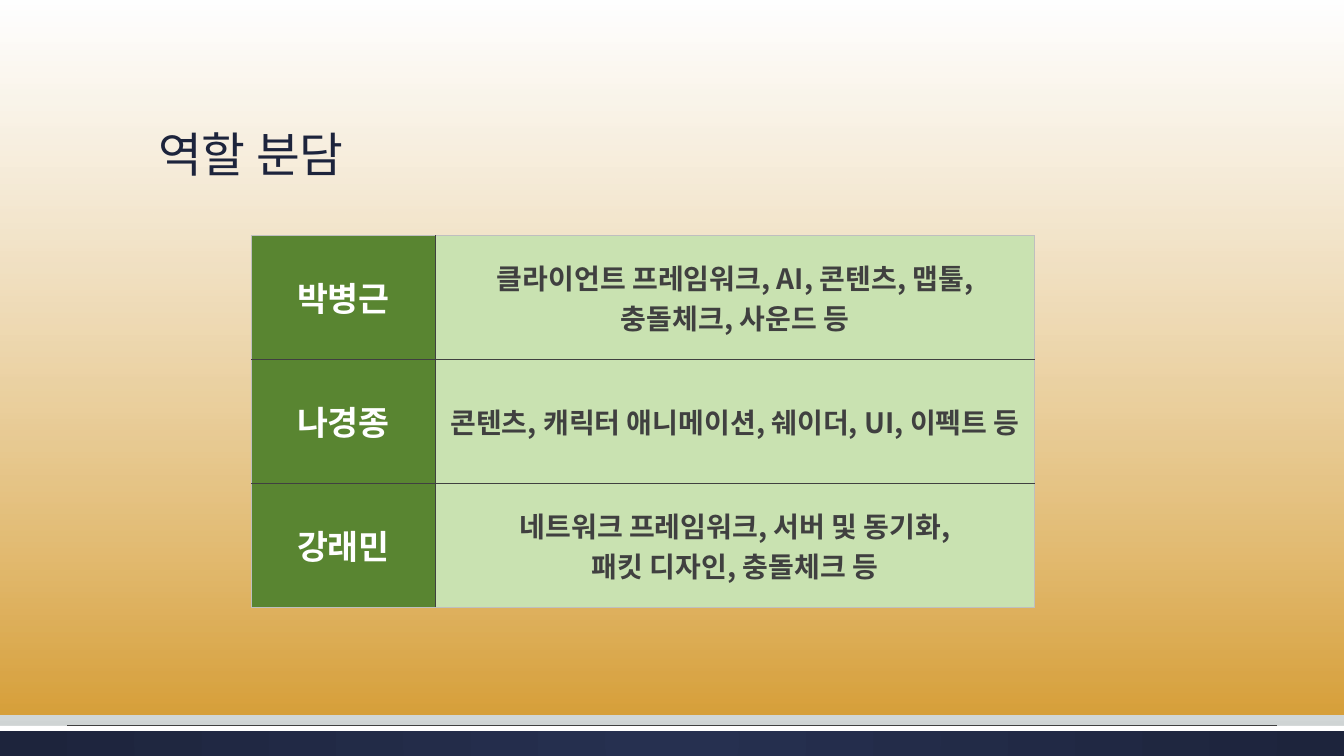
from lxml import etree
from pptx import Presentation
from pptx import util as u
from pptx.dml.color import RGBColor
from pptx.enum import shapes, text
from pptx.oxml.ns import qn

FONT = "Noto Sans CJK KR"
NAVY = RGBColor(0x1D, 0x24, 0x3C)
BLUE = RGBColor(0x26, 0x30, 0x50)
WHITE = RGBColor(0xFF, 0xFF, 0xFF)
MIST = RGBColor(0xE5, 0xE8, 0xE8)
GREY = RGBColor(0xCD, 0xD2, 0xD2)
ORANGE = RGBColor(0xDA, 0x8C, 0x00)
GREEN = RGBColor(0x59, 0x85, 0x31)
PALE_GREEN = RGBColor(0xC9, 0xE2, 0xB1)
CHARCOAL = RGBColor(0x40, 0x40, 0x40)
EDGE = RGBColor(0xBF, 0xBF, 0xBF)

SLIDE_W, SLIDE_H = u.Cm(33.87), u.Cm(19.05)
ROLES = [
    ("박병근", ["클라이언트 프레임워크, AI, 콘텐츠, 맵툴,", "충돌체크, 사운드 등"]),
    ("나경종", ["콘텐츠, 캐릭터 애니메이션, 쉐이더, UI, 이펙트 등"]),
    ("강래민", ["네트워크 프레임워크, 서버 및 동기화,", "패킷 디자인, 충돌체크 등"]),
]


def set_gradient(fill, owner, stops, radial=False):
    """Give a fill the stops (position, colour, opacity), all in percent."""
    fill.gradient()
    gradient = next(owner.iter(qn("a:gradFill")))
    for child in list(gradient):
        gradient.remove(child)
    stop_list = etree.SubElement(gradient, qn("a:gsLst"))
    for position, colour, opacity in stops:
        stop = etree.SubElement(stop_list, qn("a:gs"), pos=str(position * 1000))
        tint = etree.SubElement(stop, qn("a:srgbClr"), val=str(colour))
        if opacity < 100:
            etree.SubElement(tint, qn("a:alpha"), val=str(opacity * 1000))
    if radial:
        centre = etree.SubElement(gradient, qn("a:path"), path="circle")
        etree.SubElement(centre, qn("a:fillToRect"), l="50000", t="50000", r="50000", b="50000")
    else:
        etree.SubElement(gradient, qn("a:lin"), ang="5400000", scaled="0")


def add_band(slide, left, top, width, height):
    """Add a rectangle without line or shadow."""
    band = slide.shapes.add_shape(shapes.MSO_SHAPE.RECTANGLE, left, top, width, height)
    band.shadow.inherit = False
    band.line.fill.background()
    return band


def add_backdrop(slide, width, height):
    """Fill the background, the orange wash and the footer bands."""
    background = slide.background.fill
    set_gradient(background, slide.element, [(0, WHITE, 100), (72, MIST, 100), (100, GREY, 100)])

    footer_top = height - u.Cm(0.76)
    footer = add_band(slide, 0, footer_top, width, u.Cm(0.76))
    set_gradient(footer.fill, footer.element, [(0, BLUE, 100), (100, NAVY, 100)], radial=True)
    stripe = add_band(slide, 0, footer_top, width, u.Cm(0.13))
    stripe.fill.solid()
    stripe.fill.fore_color.rgb = WHITE
    wash = add_band(slide, 0, 0, width + u.Cm(0.09), u.Cm(18.01))
    set_gradient(wash.fill, wash.element, [(0, WHITE, 51), (100, ORANGE, 73)])

    inset, rule_y = u.Cm(1.7), footer_top - u.Cm(0.02)
    rule = slide.shapes.add_connector(
        shapes.MSO_CONNECTOR.STRAIGHT, inset, rule_y, width - inset, rule_y)
    rule.line.color.rgb = CHARCOAL
    rule.line.width = u.Pt(0.75)
    etree.SubElement(rule.element.spPr, qn("a:effectLst"))


def add_run(paragraph, words, size, colour, bold=False):
    """Add a run in the slide font, for Latin and Korean letters."""
    run = paragraph.add_run()
    run.text = words
    run.font.size = u.Pt(size)
    run.font.bold = bold
    run.font.color.rgb = colour
    run.font.name = FONT
    etree.SubElement(run.font._element, qn("a:ea"), typeface=FONT)


def place_title(slide, words, left, top, width, height):
    """Move the title into its box, in front of the backdrop."""
    title = slide.shapes.title
    slide.shapes.element.append(title.element)
    title.left, title.top, title.width, title.height = left, top, width, height
    frame = title.text_frame
    frame.word_wrap = True
    frame.auto_size = text.MSO_AUTO_SIZE.NONE
    frame.vertical_anchor = text.MSO_ANCHOR.BOTTOM
    heading = frame.paragraphs[0]
    heading.alignment = text.PP_ALIGN.LEFT
    heading.line_spacing = 0.9
    add_run(heading, words, 34, NAVY)


def set_border(cell, side, inner):
    """Draw one side of a cell, dark inside the table and pale around it."""
    properties = cell._tc.get_or_add_tcPr()
    border = etree.Element(qn("a:" + side), w=str(u.Pt(1 if inner else 0.5)))
    solid = etree.SubElement(border, qn("a:solidFill"))
    etree.SubElement(solid, qn("a:srgbClr"), val=str(CHARCOAL if inner else EDGE))
    properties.append(border)


def fill_cell(cell, lines, size, colour, back):
    """Write centred bold lines into a cell and fill it."""
    cell.vertical_anchor = text.MSO_ANCHOR.MIDDLE
    cell.fill.solid()
    cell.fill.fore_color.rgb = back
    frame = cell.text_frame
    for index, line in enumerate(lines):
        paragraph = frame.add_paragraph() if index else frame.paragraphs[0]
        paragraph.alignment = text.PP_ALIGN.CENTER
        add_run(paragraph, line, size, colour, bold=True)


def add_roles(slide, roles, left, top, width, height):
    """Add the table of members and their tasks."""
    table = slide.shapes.add_table(len(roles), 2, left, top, width, height).table
    table.first_row = table.horz_banding = False
    name_width = u.Cm(4.65)
    table.columns[0].width = name_width
    table.columns[1].width = width - name_width
    for row, (member, tasks) in enumerate(roles):
        table.rows[row].height = height // len(roles)
        name_cell, task_cell = table.cell(row, 0), table.cell(row, 1)
        for column, cell in enumerate((name_cell, task_cell)):
            set_border(cell, "lnL", column == 1)
            set_border(cell, "lnR", column == 0)
            set_border(cell, "lnT", row > 0)
            set_border(cell, "lnB", row < len(roles) - 1)
        fill_cell(name_cell, [member], 24, WHITE, GREEN)
        fill_cell(task_cell, tasks, 20, CHARCOAL, PALE_GREEN)


def main():
    """Build the slide and save it."""
    deck = Presentation()
    deck.slide_width, deck.slide_height = SLIDE_W, SLIDE_H
    slide = deck.slides.add_slide(deck.slide_layouts[5])
    add_backdrop(slide, SLIDE_W, SLIDE_H)
    place_title(slide, "역할 분담", u.Cm(3.73), u.Cm(1.3), u.Cm(26.42), u.Cm(3.43))
    add_roles(slide, ROLES, u.Cm(6.33), u.Cm(5.93), u.Cm(19.74), u.Cm(9.37))
    deck.save("out.pptx")


if __name__ == "__main__":
    main()
